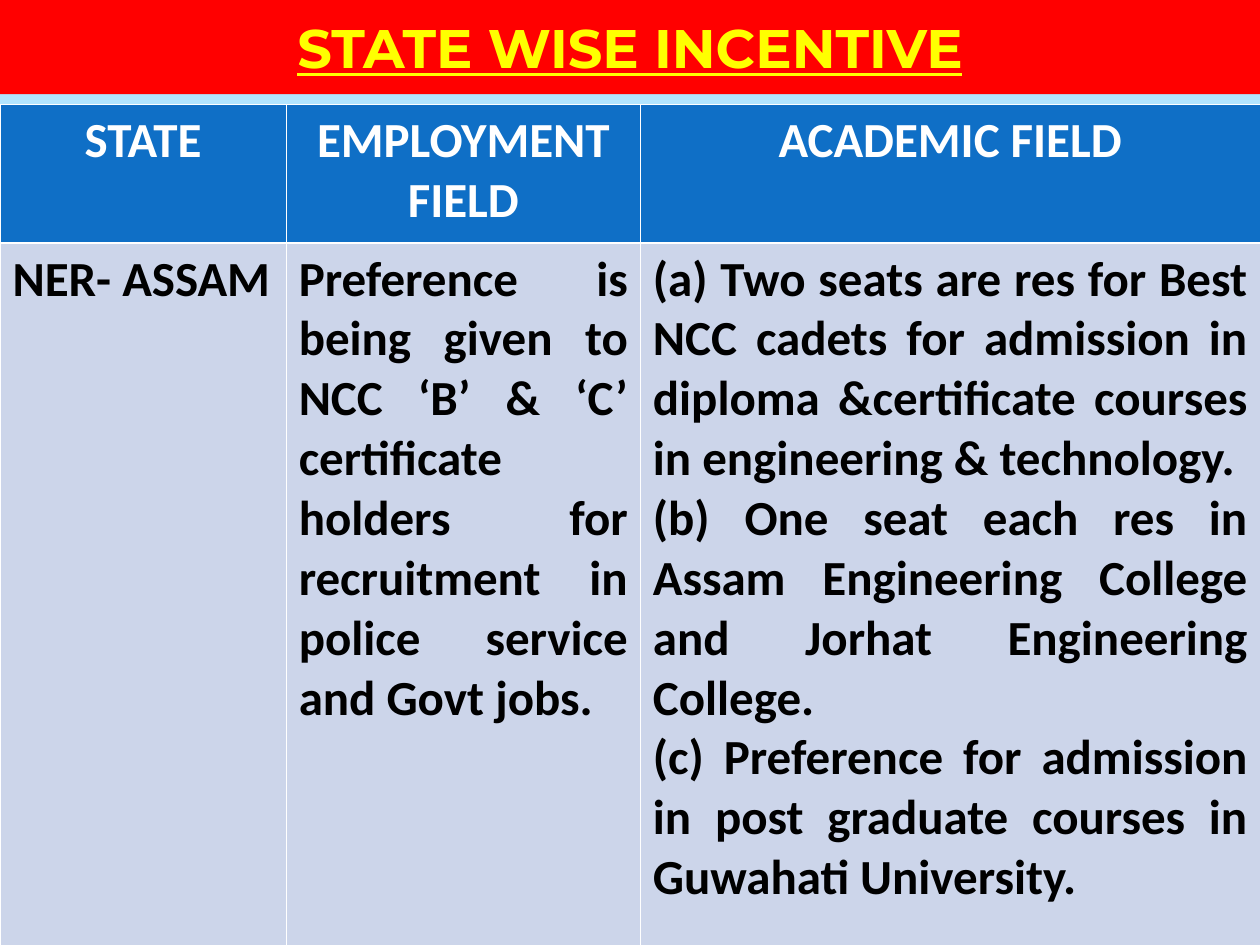
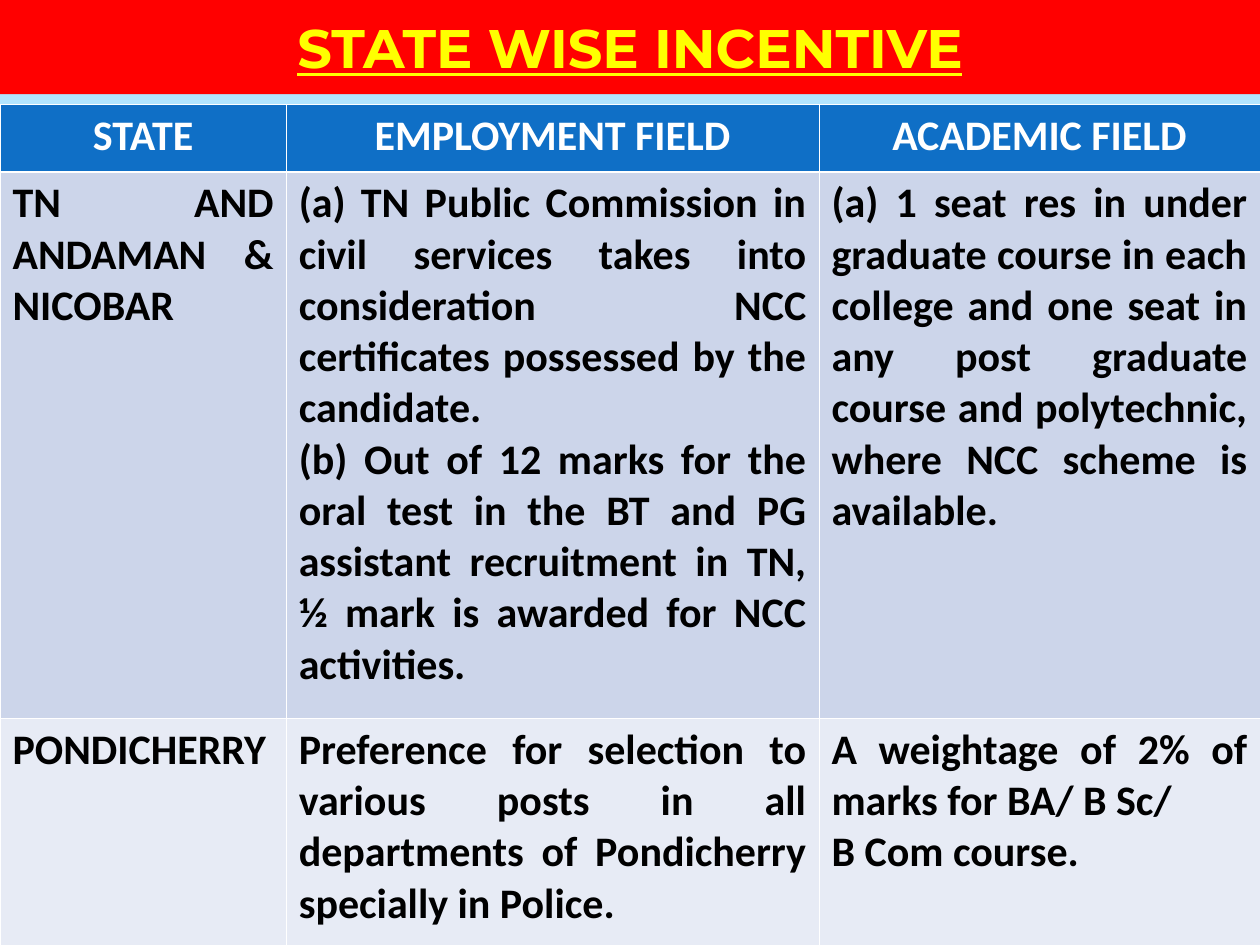
import pptx
import pptx.util
import pptx.dml.color
import pptx.enum.text
import pptx.oxml
import pptx.oxml.ns

Cm = pptx.util.Cm
Pt = pptx.util.Pt
RGB = pptx.dml.color.RGBColor.from_string
ALIGN = pptx.enum.text.PP_ALIGN
ANCHOR = pptx.enum.text.MSO_ANCHOR

COLORS = {
    "background": "B2E5FF",
    "title_band": "FF0000",
    "title_text": "FFFF00",
    "header": "0F6FC6",
    "odd_row": "CCD5EA",
    "even_row": "E7EBF5",
    "border": "FFFFFF",
    "header_text": "FFFFFF",
    "body_text": "000000",
}
SLIDE_WIDTH, SLIDE_HEIGHT = 25.4, 19.05
TABLE_TOP = 2.11
THIN, THICK = 0.45, 1.47
TITLE = "STATE WISE INCENTIVE"
HEADINGS = ["STATE", "EMPLOYMENT FIELD", "ACADEMIC FIELD"]

PAGES = [
    {
        "size": 28,
        "columns": [5.77, 7.14, 12.49],
        "heights": [2.79, 14.15],
        "rows": [
            [
                "NER- ASSAM",
                "Preference is being given to NCC ‘B’ & ‘C’ certificate holders "
                "for recruitment in police service and Govt jobs.",
                "(a) Two seats are res for Best NCC cadets for admission in "
                "diploma &certificate courses in engineering & technology.\n"
                "(b) One seat each res in Assam Engineering College and "
                "Jorhat Engineering College.\n"
                "(c) Preference for admission in post graduate courses in "
                "Guwahati University.",
            ],
        ],
    },
    {
        "size": 24,
        "columns": [5.77, 10.74, 8.89],
        "heights": [1.35, 11.02, 4.57],
        "rows": [
            [
                "TN AND ANDAMAN & NICOBAR",
                "(a) TN Public Commission in civil services takes into "
                "consideration NCC certificates possessed by the candidate.\n"
                "(b) Out of 12 marks for the oral test in the BT and PG assistant "
                "recruitment in TN, ½ mark is awarded for NCC activities.",
                "(a) 1 seat res in under graduate course in each college and one "
                "seat in any post graduate course and polytechnic, where NCC "
                "scheme is available.",
            ],
            [
                "PONDICHERRY",
                "Preference for selection to various posts in all departments of "
                "Pondicherry specially in Police.",
                "A weightage of 2% of marks for BA/ B Sc/\nB Com course.",
            ],
        ],
    },
]


def write_text(frame, text, *, size, color, font="Calibri", align=ALIGN.JUSTIFY, underline=None):
    frame.word_wrap = True
    for index, line in enumerate(text.split("\n")):
        para = frame.add_paragraph() if index else frame.paragraphs[0]
        para.alignment = align
        span = para.add_run()
        span.text = line
        span.font.name = font
        span.font.size = Pt(size)
        span.font.bold = True
        span.font.underline = underline
        span.font.color.rgb = RGB(COLORS[color])


def add_borders(cell, top, bottom):
    properties = cell._tc.get_or_add_tcPr()
    sides = {"lnL": THIN, "lnR": THIN, "lnT": top, "lnB": bottom}
    for index, (side, width) in enumerate(sides.items()):
        border = pptx.oxml.parse_xml(
            f'<a:{side} {pptx.oxml.ns.nsdecls("a")} w="{Pt(width)}"><a:solidFill>'
            f'<a:srgbClr val="{COLORS["border"]}"/></a:solidFill></a:{side}>'
        )
        properties.insert(index, border)


deck = pptx.Presentation()
deck.slide_width = Cm(SLIDE_WIDTH)
deck.slide_height = Cm(SLIDE_HEIGHT)

for content in PAGES:
    page = deck.slides.add_slide(deck.slide_layouts.get_by_name("Title Only"))
    page.background.fill.solid()
    page.background.fill.fore_color.rgb = RGB(COLORS["background"])

    title = page.shapes.title
    title.left, title.top, title.width, title.height = Cm(0), Cm(0), Cm(SLIDE_WIDTH), Cm(1.9)
    title.fill.solid()
    title.fill.fore_color.rgb = RGB(COLORS["title_band"])
    title.text_frame.auto_size = pptx.enum.text.MSO_AUTO_SIZE.NONE
    title.text_frame.vertical_anchor = ANCHOR.MIDDLE
    write_text(title.text_frame, TITLE, size=31, color="title_text",
               font="Montserrat", align=ALIGN.CENTER, underline=True)

    rows = [HEADINGS] + content["rows"]
    table = page.shapes.add_table(
        len(rows), len(HEADINGS), Cm(0), Cm(TABLE_TOP),
        Cm(SLIDE_WIDTH), Cm(SLIDE_HEIGHT - TABLE_TOP),
    ).table
    for column, width in zip(table.columns, content["columns"]):
        column.width = Cm(width)
    for row, height in zip(table.rows, content["heights"]):
        row.height = Cm(height)

    for row_index, texts in enumerate(rows):
        is_header = row_index == 0
        fill = "header" if is_header else "odd_row" if row_index % 2 else "even_row"
        for column_index, text in enumerate(texts):
            cell = table.cell(row_index, column_index)
            cell.fill.solid()
            cell.fill.fore_color.rgb = RGB(COLORS[fill])
            write_text(cell.text_frame, text, size=content["size"],
                       color="header_text" if is_header else "body_text",
                       align=ALIGN.CENTER if is_header else ALIGN.JUSTIFY)
            add_borders(cell, top=THICK if row_index == 1 else THIN,
                        bottom=THICK if is_header else THIN)

deck.save("out.pptx")
